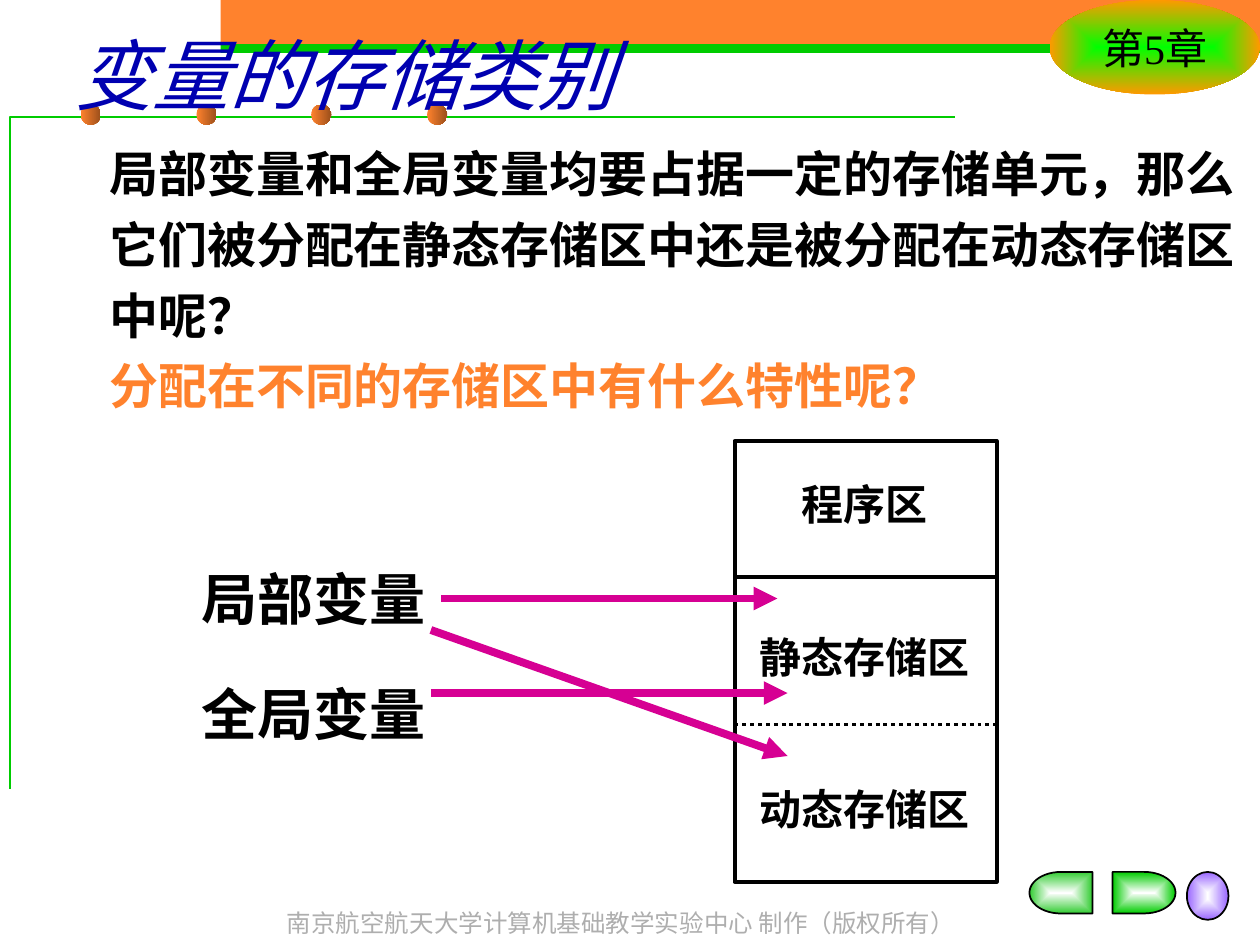
import pptx
import pptx.util
import pptx.dml.color
import pptx.enum.dml
import pptx.enum.shapes
import pptx.enum.text
import pptx.oxml
import pptx.oxml.ns

PX = 9144
SHAPE = pptx.enum.shapes.MSO_SHAPE
ALIGN = pptx.enum.text.PP_ALIGN
STRAIGHT = pptx.enum.shapes.MSO_CONNECTOR.STRAIGHT
MIDDLE = pptx.enum.text.MSO_ANCHOR.MIDDLE
NAMESPACE = pptx.oxml.ns.nsdecls("a")
CENTRE_PATH = (
    f'<a:path {NAMESPACE} path="shape">'
    '<a:fillToRect l="50000" t="50000" r="50000" b="50000"/></a:path>'
)


def color(value):
    return pptx.dml.color.RGBColor.from_string(value)


def write(frame, text, size=24, fill="000000", font="Times New Roman", bold=False,
          italic=False, align=ALIGN.LEFT, spacing=None, wrap=True):
    frame.word_wrap = wrap
    paragraph = frame.add_paragraph() if frame.text else frame.paragraphs[0]
    paragraph.alignment = align
    paragraph.line_spacing = spacing
    run = paragraph.add_run()
    run.text = text
    run.font.name = font
    run.font.size = pptx.util.Pt(size)
    run.font.bold = bold
    run.font.italic = italic
    run.font.color.rgb = color(fill)


presentation = pptx.Presentation()
presentation.slide_width = 1000 * PX
presentation.slide_height = 750 * PX
slide = presentation.slides.add_slide(presentation.slide_layouts[5])
shapes = slide.shapes

for top, height, fill in [(0, 35, "FF822D"), (35, 7, "00CC00")]:
    band = shapes.add_shape(SHAPE.RECTANGLE, 175 * PX, top * PX, 825 * PX, height * PX)
    band.shadow.inherit = False
    band.fill.solid()
    band.fill.fore_color.rgb = color(fill)
    band.line.fill.background()

builder = shapes.build_freeform(8, 626, scale=PX)
builder.add_line_segments([(8, 93), (758, 93)], close=False)
corner = builder.convert_to_shape()
corner.shadow.inherit = False
corner.fill.background()
corner.line.color.rgb = color("00CC00")
corner.line.width = pptx.util.Pt(0.75)

dots = [(SHAPE.OVAL, 64 + round(index * 91.7), 83, 16, 16, 0, "FF822D", "9B4F1B", False, False)
        for index in range(4)]
badge_and_buttons = [
    (SHAPE.OVAL, 833, 0, 167, 75, 0, "00FF00", "FF9900", True, False),
    (SHAPE.FLOWCHART_DELAY, 883, 692, 50, 33, 0, "FFFFFF", "00CC00", True, True),
    (SHAPE.FLOWCHART_DELAY, 817, 692, 50, 33, 180, "FFFFFF", "33CC33", True, True),
    (SHAPE.OVAL, 942, 692, 33, 38, 0, "FFFFFF", "9966FF", True, True),
]
for kind, left, top, width, height, rotation, start, end, radial, outlined in dots + badge_and_buttons:
    shape = shapes.add_shape(kind, left * PX, top * PX, width * PX, height * PX)
    shape.shadow.inherit = False
    shape.rotation = rotation
    shape.fill.gradient()
    shape.fill.gradient_angle = 0
    for stop, value, position in zip(shape.fill.gradient_stops, (start, end), (0, 1)):
        stop.color.rgb = color(value)
        stop.position = position
    if radial:
        linear = shape.element.spPr.find(".//" + pptx.oxml.ns.qn("a:lin"))
        linear.getparent().replace(linear, pptx.oxml.parse_xml(CENTRE_PATH))
    if outlined:
        shape.line.color.rgb = color("000000")
        shape.line.width = pptx.util.Pt(1)
    else:
        shape.line.fill.background()
    if top == 0:
        shape.text_frame.vertical_anchor = MIDDLE
        write(shape.text_frame, "第5章", align=ALIGN.CENTER, wrap=False)

footer = shapes.add_textbox(192 * PX, 716 * PX, 602 * PX, 33 * PX)
write(footer.text_frame, "南京航空航天大学计算机基础教学实验中心 制作（版权所有）",
      size=14, fill="AEAEAE", align=ALIGN.CENTER)

question = shapes.add_textbox(77 * PX, 100 * PX, 923 * PX, 234 * PX)
for text, fill in [
    ("局部变量和全局变量均要占据一定的存储单元，那么它们被分配在静态存储区中还是被分配在动态存储区中呢？", "000000"),
    ("分配在不同的存储区中有什么特性呢？", "FF822D"),
]:
    write(question.text_frame, text, size=28, fill=fill, bold=True, spacing=1.2)

title = shapes.title
title.left, title.top, title.width, title.height = 50 * PX, 17 * PX, 850 * PX, 83 * PX
title.text_frame.vertical_anchor = MIDDLE
write(title.text_frame, "变量的存储类别", size=44, fill="0000B0", font="Roboto", italic=True)
shapes.element.append(title.element)

for index, text in enumerate(["程序区", "静态存储区", "动态存储区"]):
    area = shapes.add_textbox(592 * PX, (375 + index * 121) * PX, 188 * PX, 50 * PX)
    write(area.text_frame, text, bold=True, align=ALIGN.CENTER, wrap=False)

memory = shapes.add_shape(SHAPE.RECTANGLE, 583 * PX, 350 * PX, 208 * PX, 350 * PX)
memory.shadow.inherit = False
memory.fill.background()
memory.line.color.rgb = color("000000")
memory.line.width = pptx.util.Pt(2.25)

variables = []
for text, top in [("局部变量", 443), ("全局变量", 534)]:
    variable = shapes.add_textbox(150 * PX, top * PX, 200 * PX, 64 * PX)
    write(variable.text_frame, text, size=32, bold=True, wrap=False)
    variables.append(variable)

for left, top, right, bottom, value, width, dotted, arrow, source in [
    (583, 458, 792, 458, "000000", 2.25, False, False, None),
    (583, 575, 792, 575, "000000", 2.25, True, False, None),
    (350, 475, 617, 475, "D60093", 4.5, False, True, variables[0]),
    (342, 550, 625, 550, "D60093", 4.5, False, True, None),
    (342, 500, 625, 600, "D60093", 4.5, False, True, None),
]:
    line = shapes.add_connector(STRAIGHT, left * PX, top * PX, right * PX, bottom * PX)
    line.line.color.rgb = color(value)
    line.line.width = pptx.util.Pt(width)
    if dotted:
        line.line.dash_style = pptx.enum.dml.MSO_LINE.ROUND_DOT
    if arrow:
        line.line._get_or_add_ln().append(
            pptx.oxml.parse_xml(f'<a:tailEnd {NAMESPACE} type="triangle"/>'))
    if source:
        line.begin_connect(source, 3)
    line.element.spPr.append(pptx.oxml.parse_xml(f"<a:effectLst {NAMESPACE}/>"))

presentation.save("out.pptx")
